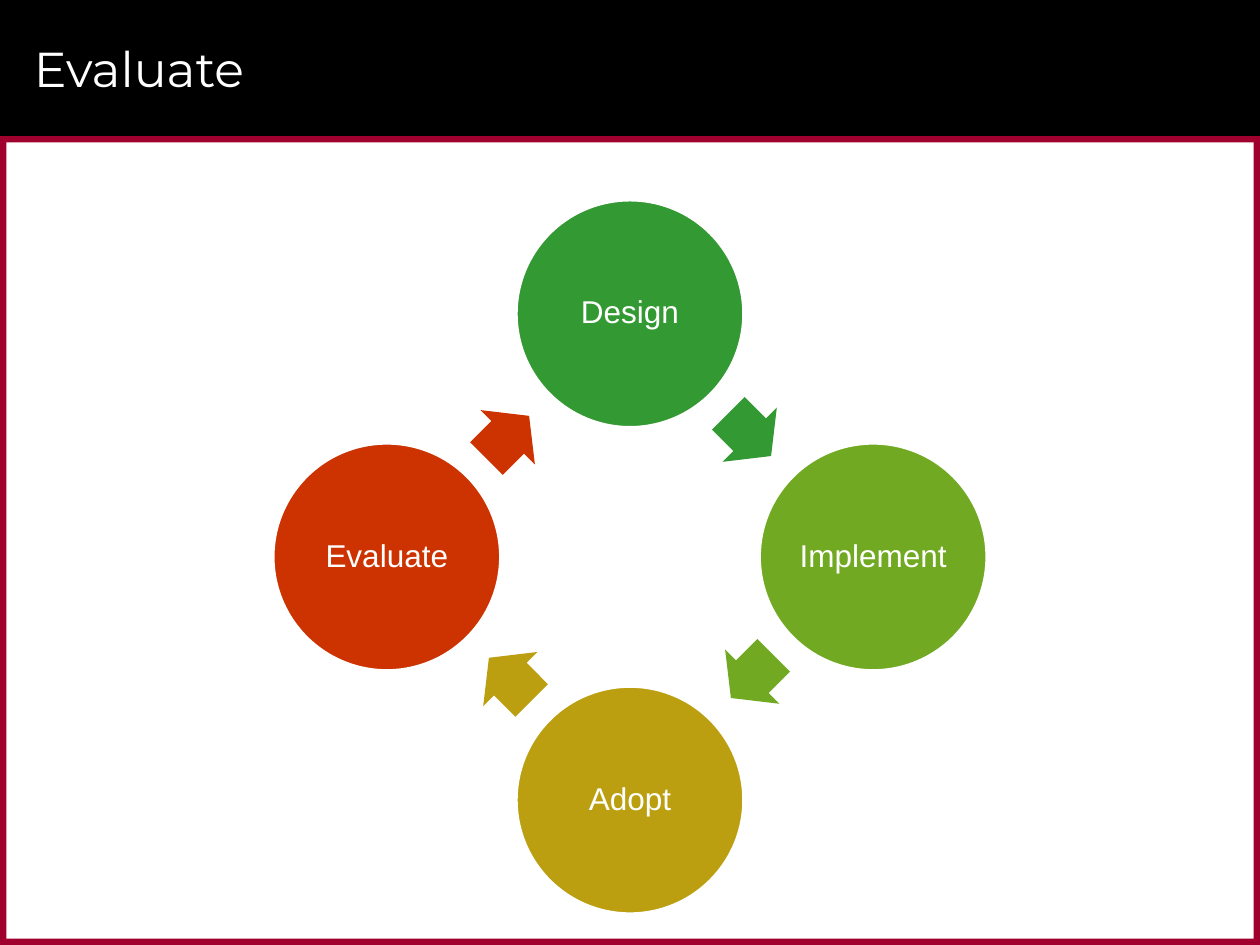
from pptx import Presentation
from pptx.dml.color import RGBColor
from pptx.enum.shapes import MSO_SHAPE as SHAPE
from pptx.enum.text import MSO_ANCHOR as ANCHOR, PP_ALIGN as ALIGN
from pptx.util import Inches, Pt

COLORS = {
    "black": "000000", "white": "FFFFFF", "crimson": "9F002D",
    "green": "339933", "lime": "71AA22", "gold": "BB9F11", "red": "CC3300",
}
STAGES = [("Design", "green"), ("Implement", "lime"),
          ("Adopt", "gold"), ("Evaluate", "red")]


def quarter_turns(x, y, turns):
    """Turn an offset clockwise by a number of right angles."""
    for _ in range(turns):
        x, y = -y, x
    return x, y


class SlideBuilder:
    title_font, body_font = "Montserrat", "Arial"

    def __init__(self, slide):
        self.slide = slide

    def color(self, name):
        return RGBColor.from_string(COLORS[name])

    def shape(self, kind, x, y, w, h, fill):
        sp = self.slide.shapes.add_shape(
            kind, Inches(x), Inches(y), Inches(w), Inches(h))
        sp.shadow.inherit = False
        sp.fill.solid()
        sp.fill.fore_color.rgb = self.color(fill)
        sp.line.fill.background()
        return sp

    def set_text(self, sp, text, font, size, align):
        tf = sp.text_frame
        tf.vertical_anchor = ANCHOR.MIDDLE
        p = tf.paragraphs[0]
        p.text = text
        p.alignment = align
        p.font.name = font
        p.font.size = Pt(size)
        p.font.color.rgb = self.color("white")
        return tf

    def title(self, text, x, y, w, h):
        sp = self.slide.shapes.add_textbox(
            Inches(x), Inches(y), Inches(w), Inches(h))
        tf = self.set_text(sp, text, self.title_font, 28, ALIGN.LEFT)
        tf.word_wrap = True

    def circle(self, text, cx, cy, size, fill):
        sp = self.shape(SHAPE.OVAL, cx - size / 2, cy - size / 2, size, size, fill)
        sp.line.color.rgb = self.color("white")
        sp.line.width = Pt(2)
        tf = self.set_text(sp, text, self.body_font, 18, ALIGN.CENTER)
        tf.word_wrap = False
        tf.margin_left = tf.margin_right = Inches(0.03)
        tf.margin_top = tf.margin_bottom = Inches(0.03)
        tf.paragraphs[0].line_spacing = 0.9

    def arrow(self, cx, cy, w, h, angle, fill):
        sp = self.shape(SHAPE.RIGHT_ARROW, cx - w / 2, cy - h / 2, w, h, fill)
        sp.adjustments[0] = 0.6
        sp.adjustments[1] = 0.5
        sp.rotation = angle


def main():
    prs = Presentation()
    prs.slide_width, prs.slide_height = Inches(10), Inches(7.5)
    s = SlideBuilder(prs.slides.add_slide(prs.slide_layouts[6]))

    # Header band and frame
    top, edge = 1.08, 0.05
    s.shape(SHAPE.RECTANGLE, 0, 0, 10, top, "black")
    for y in (top, 7.5 - edge):
        s.shape(SHAPE.RECTANGLE, 0, y, 10, edge, "crimson")
    for x in (10 - edge, 0):
        s.shape(SHAPE.RECTANGLE, x, top, edge, 7.5 - top, "crimson")
    s.title("Evaluate", 0.17, 0.08, 9.42, 0.92)

    # Cycle: each stage and its arrow sit a quarter turn after the last
    cx, cy = 5, 4.42
    for i, (name, fill) in enumerate(STAGES):
        dx, dy = quarter_turns(0, -1.93, i)
        s.circle(name, cx + dx, cy + dy, 1.81, fill)
        dx, dy = quarter_turns(0.95, -0.97, i)
        s.arrow(cx + dx, cy + dy, 0.48, 0.61, 45 + 90 * i, fill)

    prs.save("out.pptx")


if __name__ == "__main__":
    main()
